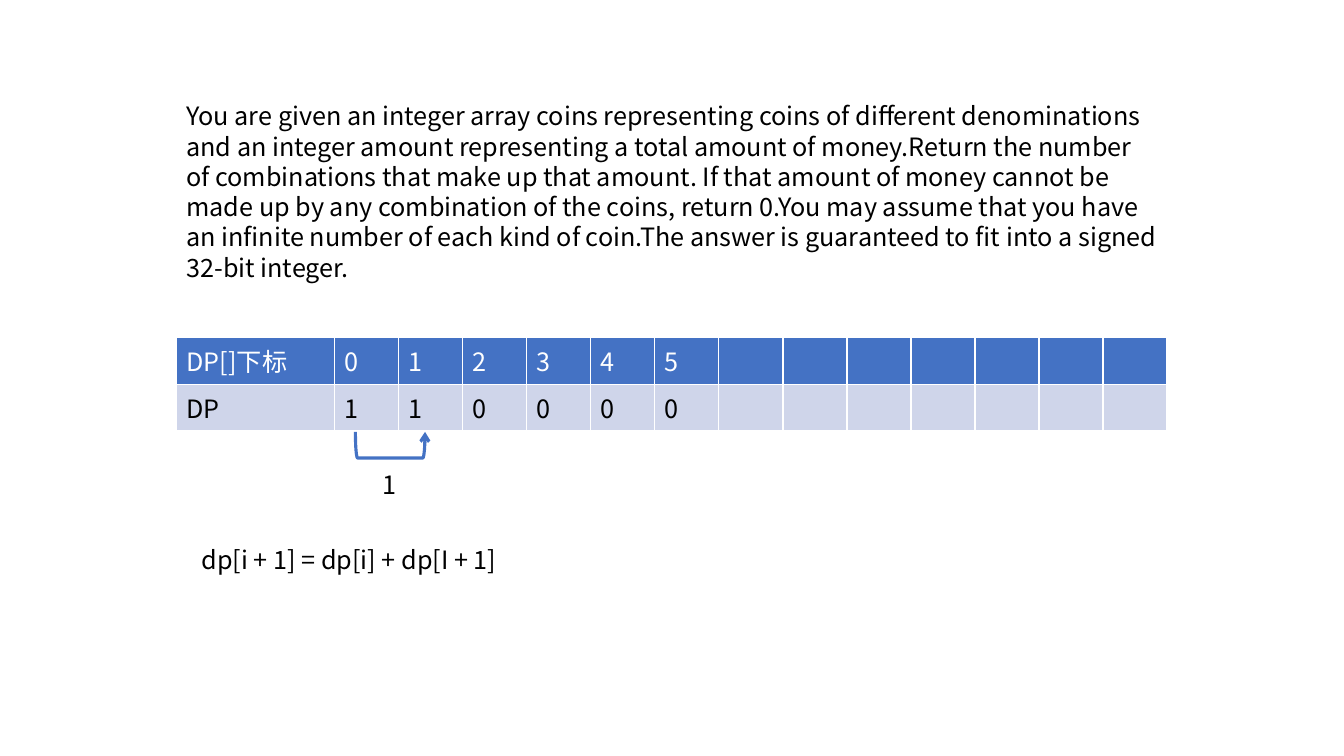
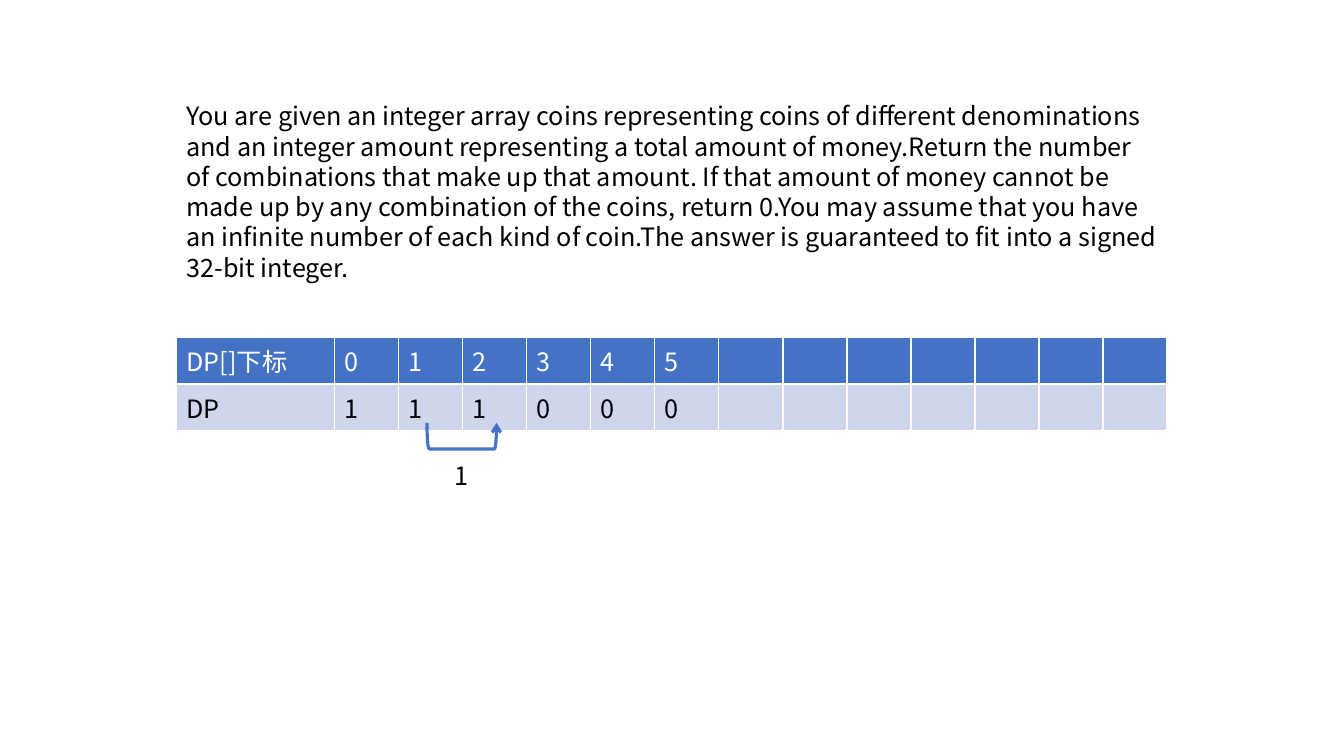
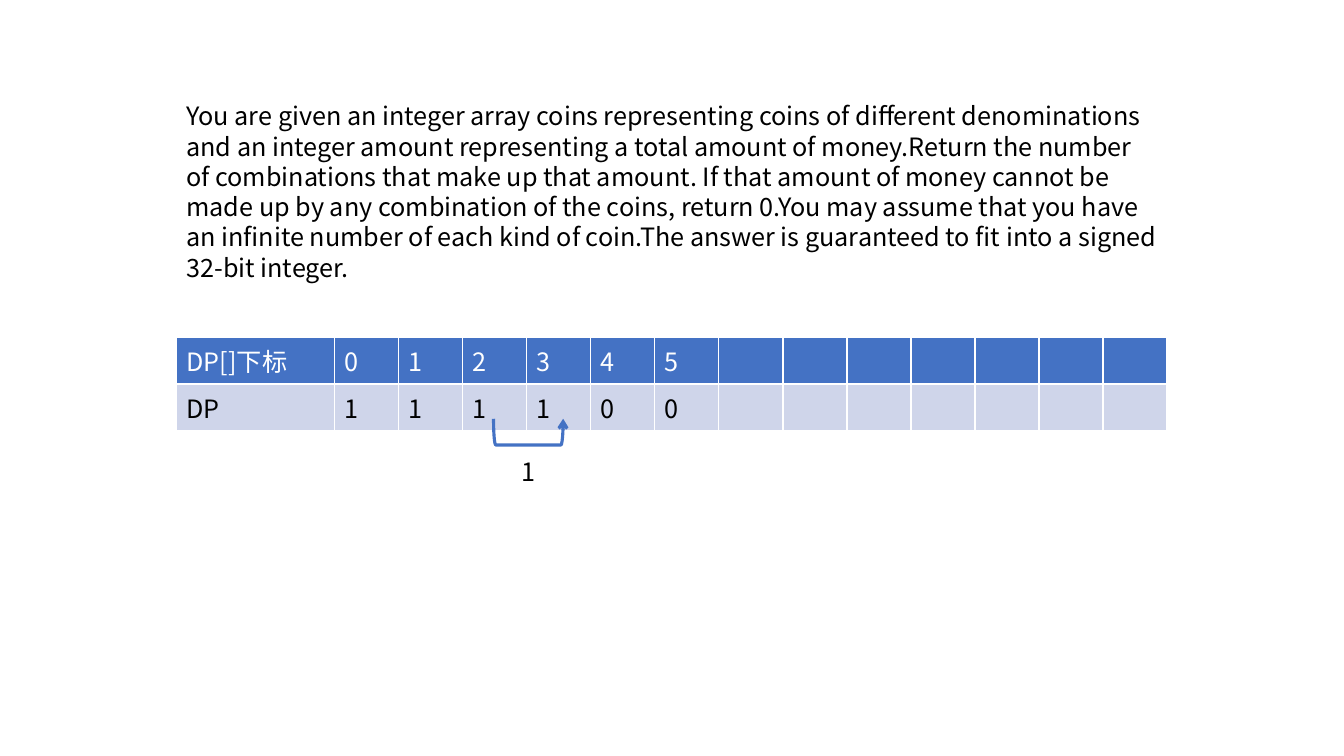
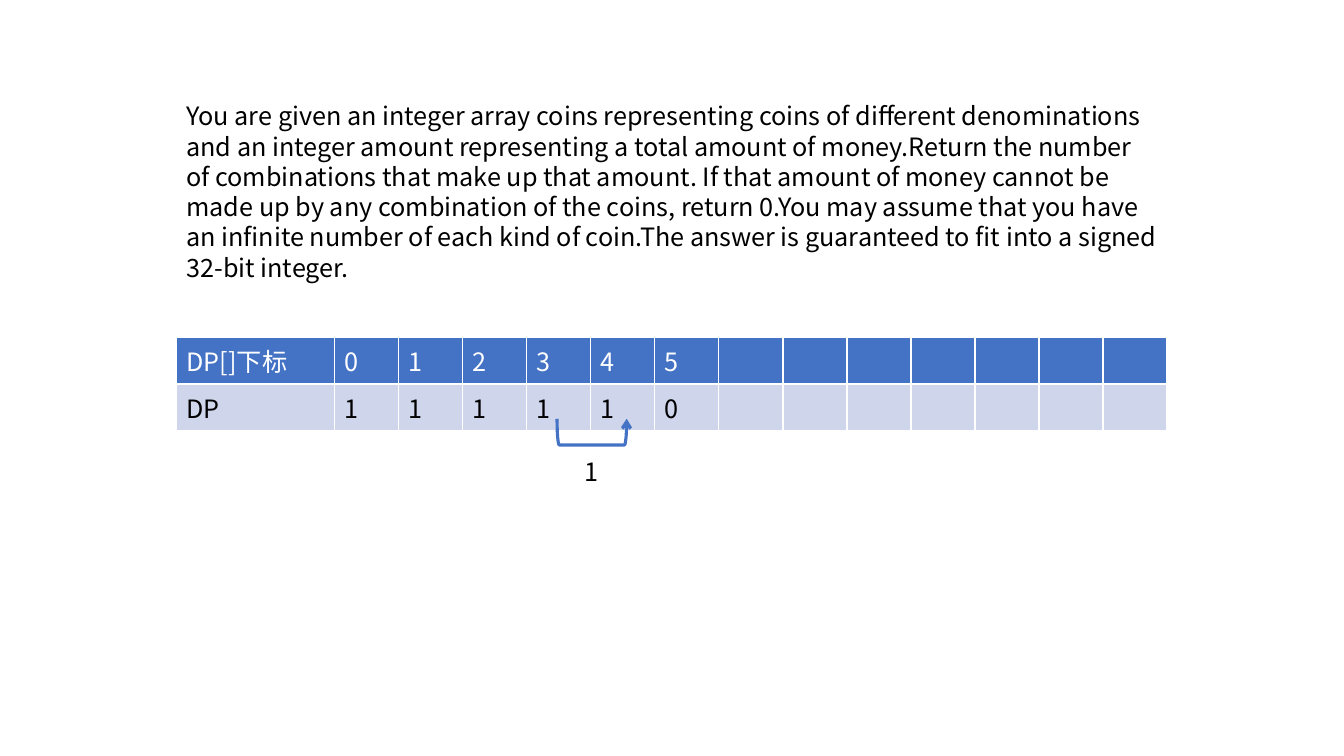
import lxml.etree
import pptx
import pptx.dml.color
import pptx.enum.shapes
import pptx.enum.text
import pptx.oxml.ns
import pptx.util

Inches = pptx.util.Inches
Pt = pptx.util.Pt
qn = pptx.oxml.ns.qn

PROBLEM = (
    "You are given an integer array coins representing coins of different denominations "
    "and an integer amount representing a total amount of money.Return the number of "
    "combinations that make up that amount. If that amount of money cannot be made up by "
    "any combination of the coins, return 0.You may assume that you have an infinite "
    "number of each kind of coin.The answer is guaranteed to fit into a signed 32-bit integer."
)
AMOUNT = 5
COLUMNS = 14
BRACKETS = [(3.74, 4.07), (4.45, 3.98), (5.11, 3.94), (5.74, 3.94)]


class Deck:
    colors = {"accent": "4472C4", "band": "CFD5EA", "text": "000000", "white": "FFFFFF"}
    font = "Noto Sans CJK SC"
    size = 18
    left, width = 1.75, 9.83
    label_width = 1.57

    def __init__(self):
        self.prs = pptx.Presentation()
        self.prs.slide_width = Inches(13.33)
        self.prs.slide_height = Inches(7.5)
        self.slide = None

    def rgb(self, name):
        return pptx.dml.color.RGBColor.from_string(self.colors[name])

    def add_slide(self):
        self.slide = self.prs.slides.add_slide(self.prs.slide_layouts[6])

    def style(self, p, color):
        p.font.name = self.font
        p.font.size = Pt(self.size)
        p.font.bold = False
        p.font.color.rgb = self.rgb(color)

    def text(self, text, x, y, w, h, wrap=True):
        sp = self.slide.shapes.add_textbox(Inches(x), Inches(y), Inches(w), Inches(h))
        tf = sp.text_frame
        tf.word_wrap = wrap
        tf.auto_size = pptx.enum.text.MSO_AUTO_SIZE.SHAPE_TO_FIT_TEXT
        p = tf.paragraphs[0]
        p.text = text
        self.style(p, "text")

    def borders(self, cell):
        tcPr = cell._tc.get_or_add_tcPr()
        for i, side in enumerate(("a:lnL", "a:lnR", "a:lnT", "a:lnB")):
            ln = lxml.etree.Element(qn(side), w=str(Pt(1)))
            fill = lxml.etree.SubElement(ln, qn("a:solidFill"))
            lxml.etree.SubElement(fill, qn("a:srgbClr"), val=self.colors["white"])
            tcPr.insert(i, ln)

    def table(self, rows, y, row_height):
        frame = self.slide.shapes.add_table(
            len(rows), COLUMNS, Inches(self.left), Inches(y),
            Inches(self.width), Inches(row_height * len(rows)))
        table = frame.table
        value_width = (self.width - self.label_width) / (COLUMNS - 1)
        for i, column in enumerate(table.columns):
            column.width = Inches(value_width if i else self.label_width)
        looks = [("accent", "white"), ("band", "text")]
        for r, (values, (fill, color)) in enumerate(zip(rows, looks)):
            for c in range(COLUMNS):
                cell = table.cell(r, c)
                cell.fill.solid()
                cell.fill.fore_color.rgb = self.rgb(fill)
                self.borders(cell)
                p = cell.text_frame.paragraphs[0]
                if c < len(values):
                    p.text = str(values[c])
                self.style(p, color)

    def bracket_arrow(self, x, y):
        sp = self.slide.shapes.add_shape(
            pptx.enum.shapes.MSO_SHAPE.LEFT_BRACKET,
            Inches(x), Inches(y), Inches(0.26), Inches(0.69))
        sp.rotation = 270
        sp._element.spPr.find(qn("a:xfrm")).set("flipV", "1")
        sp.shadow.inherit = False
        sp.fill.background()
        sp.line.color.rgb = self.rgb("accent")
        sp.line.width = Pt(2.25)
        lxml.etree.SubElement(sp.line._get_or_add_ln(), qn("a:tailEnd"), type="arrow")


def main():
    deck = Deck()
    for step, (x, y) in enumerate(BRACKETS):
        deck.add_slide()
        ones = step + 2
        indices = ["DP[]下标", *range(AMOUNT + 1)]
        counts = ["DP"] + [1] * ones + [0] * (AMOUNT + 1 - ones)
        deck.table([indices, counts], 3.35, 0.46)
        deck.text(PROBLEM, deck.left, 0.95, deck.width, 1.62)
        deck.bracket_arrow(x, y)
        deck.text("1", x - 0.04, y + 0.54, 0.34, 0.4, wrap=False)
        if step == 0:
            deck.text("dp[i + 1] = dp[i] + dp[I + 1]", 1.9, 5.35, 4.44, 0.4)
    deck.prs.save("out.pptx")


if __name__ == "__main__":
    main()
